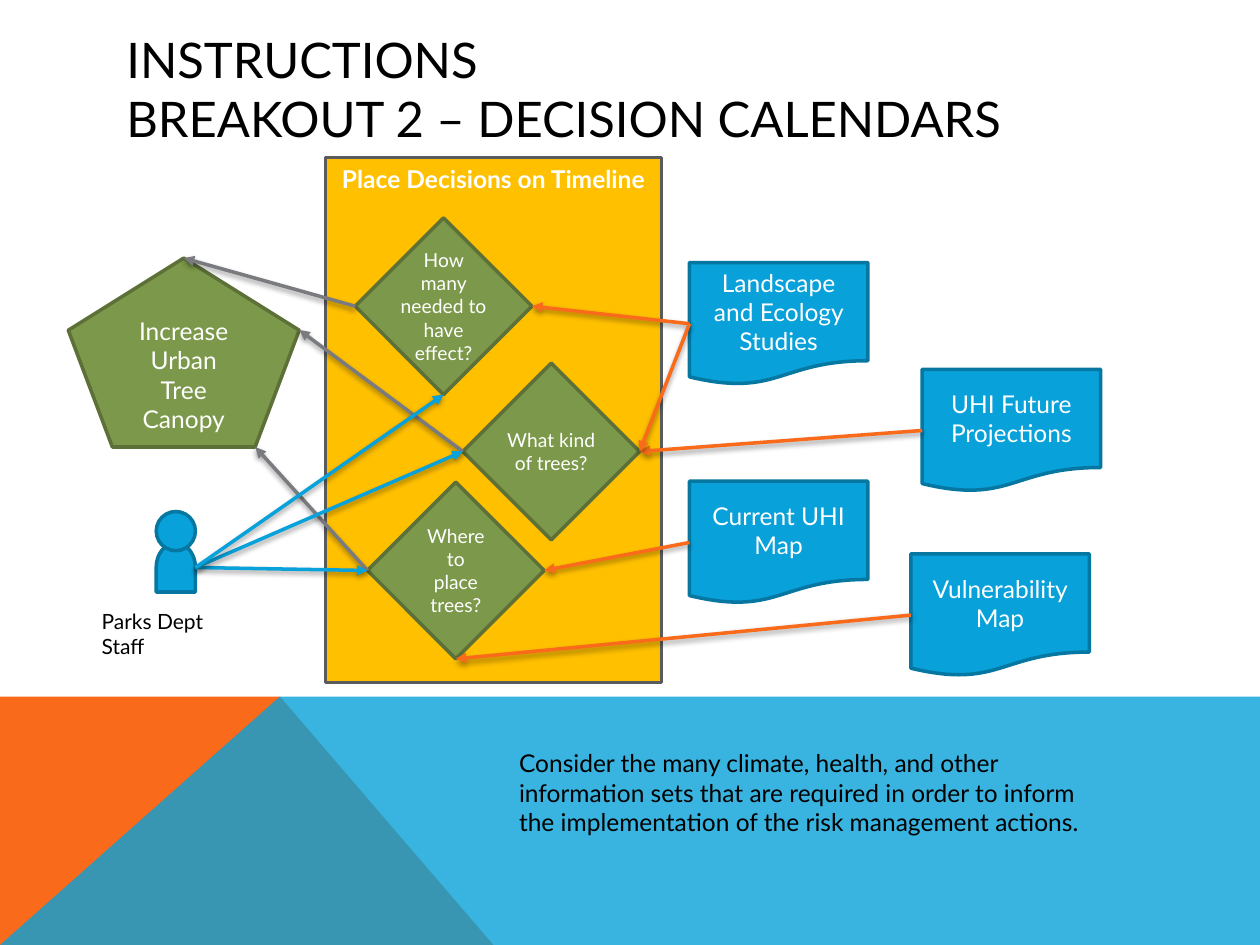
import lxml.etree
import pptx
import pptx.dml.color
import pptx.enum.shapes
import pptx.enum.text
import pptx.oxml.ns
import pptx.util

Pt = pptx.util.Pt
RGB = pptx.dml.color.RGBColor
SHAPE = pptx.enum.shapes.MSO_SHAPE
ALIGN = pptx.enum.text.PP_ALIGN
ANCHOR = pptx.enum.text.MSO_ANCHOR

FONT = "Lato"
BLACK = RGB(0x00, 0x00, 0x00)
WHITE = RGB(0xFF, 0xFF, 0xFF)
BLUE = RGB(0x08, 0xA1, 0xD9)
DARK_BLUE = RGB(0x06, 0x77, 0xA1)
GREEN = RGB(0x7C, 0x98, 0x4A)
DARK_GREEN = RGB(0x5C, 0x70, 0x37)
ORANGE = RGB(0xF9, 0x6A, 0x1B)
GOLD = RGB(0xFF, 0xC0, 0x00)
GRAY = RGB(0x79, 0x7B, 0x7E)
DARK_GRAY = RGB(0x5A, 0x5B, 0x5D)

TOP, LEFT, BOTTOM, RIGHT = range(4)


def add_xml(parent, tag, **attrs):
    """Append a DrawingML element and return it."""
    return lxml.etree.SubElement(parent, pptx.oxml.ns.qn(tag), attrs)


def write_text(sp, text, size=14, color=WHITE, bold=False, align=ALIGN.CENTER,
               anchor=ANCHOR.MIDDLE, inset=None):
    """Write one formatted, wrapped paragraph into a shape."""
    tf = sp.text_frame
    tf.word_wrap = True
    tf.auto_size = pptx.enum.text.MSO_AUTO_SIZE.NONE
    tf.vertical_anchor = anchor
    if inset is not None:
        tf.margin_left = tf.margin_right = tf.margin_top = tf.margin_bottom = Pt(inset)
    p = tf.paragraphs[0]
    p.text = text
    p.alignment = align
    for r in p.runs:
        r.font.name, r.font.size, r.font.bold = FONT, Pt(size), bold
        r.font.color.rgb = color


def paint(sp, fill, line=None):
    """Give a shape a flat fill and an optional outline."""
    sp.shadow.inherit = False
    sp.fill.solid()
    sp.fill.fore_color.rgb = fill
    if line is None:
        sp.line.fill.background()
    else:
        sp.line.color.rgb = line
        sp.line.width = Pt(2)


def add_box(shapes, kind, box, fill, line):
    """Add a painted preset shape in a box of points."""
    sp = shapes.add_shape(kind, *map(Pt, box))
    paint(sp, fill, line)
    return sp


def add_note(s, box, text, size):
    """Add a plain black text box."""
    sp = s.shapes.add_textbox(*map(Pt, box))
    write_text(sp, text, size=size, color=BLACK, align=ALIGN.LEFT, anchor=ANCHOR.TOP)


def add_arrow(s, start, end, color):
    """Draw a shadowed arrow between points or (shape, side) pairs."""
    is_point = [isinstance(e[0], (int, float)) for e in (start, end)]
    ends = [e if point else (0, 0) for e, point in zip((start, end), is_point)]
    cxn = s.shapes.add_connector(
        pptx.enum.shapes.MSO_CONNECTOR.STRAIGHT, *[Pt(v) for e in ends for v in e])
    if not is_point[0]:
        cxn.begin_connect(*start)
    if not is_point[1]:
        cxn.end_connect(*end)
    cxn.line.color.rgb = color
    cxn.line.width = Pt(2)
    add_xml(cxn.line._get_or_add_ln(), "a:tailEnd", type="triangle")
    effects = add_xml(cxn._element.spPr, "a:effectLst")
    shadow = add_xml(effects, "a:outerShdw", blurRad=str(Pt(3.1)), dist=str(Pt(1.6)),
                     dir="5400000", rotWithShape="0")
    add_xml(add_xml(shadow, "a:srgbClr", val=str(BLACK)), "a:alpha", val="38000")


def add_title(s, box, text):
    """Move and format the title placeholder."""
    sp = s.shapes.title
    sp.left, sp.top, sp.width, sp.height = map(Pt, box)
    write_text(sp, text, size=28, color=BLACK, align=ALIGN.LEFT)


def add_backdrop(s, box):
    """Draw the orange triangle and translucent blue band."""
    x, y, w, h = box
    peak, foot = (x + 160.5, y), (x + 281.5, y + h)
    corner = (x, y + h)
    outlines = [
        (ORANGE, [corner, (x, y), peak, foot]),
        (BLUE, [corner, peak, (x + w, y), (x + w, y + h)]),
    ]
    for color, points in outlines:
        fb = s.shapes.build_freeform(*points[0], scale=Pt(1))
        fb.add_line_segments(points[1:])
        sp = fb.convert_to_shape()
        paint(sp, color)
    add_xml(sp.fill._xPr.find(".//" + pptx.oxml.ns.qn("a:srgbClr")), "a:alpha", val="80000")


def add_timeline(s, box):
    """Add the timeline panel and return its decision diamonds."""
    x, y, w, h = box
    panel = add_box(s.shapes, SHAPE.RECTANGLE, box, GOLD, DARK_GRAY)
    write_text(panel, "Place Decisions on Timeline", bold=True, anchor=ANCHOR.TOP)
    size = 101
    decisions = [
        (17, 34.5, "How many needed to have effect?", 0),
        (24, 185.5, "Where to place trees?", None),
        (78.5, 117.5, "What kind of trees?", 0),
    ]
    diamonds = []
    for dx, dy, text, inset in decisions:
        sp = add_box(s.shapes, SHAPE.DIAMOND, (x + dx, y + dy, size, size), GREEN, DARK_GREEN)
        write_text(sp, text, size=11, inset=inset)
        diamonds.append(sp)
    return diamonds


def add_goal(s, box):
    """Add the goal pentagon; return it with its right and lower right corners."""
    x, y, w, h = box
    sp = add_box(s.shapes, SHAPE.REGULAR_PENTAGON, box, GREEN, DARK_GREEN)
    write_text(sp, "Increase Urban Tree Canopy")
    return sp, (x + w, y + 0.38 * h), (x + 0.81 * w, y + h)


def add_documents(s, box):
    """Add the information sources and return their shapes."""
    x, y = box[:2]
    sources = [
        (0, 0, "Landscape and Ecology Studies"),
        (133, 61, "UHI Future Projections"),
        (0, 125, "Current UHI Map"),
        (126.5, 166.5, "Vulnerability Map"),
    ]
    documents = []
    for dx, dy, text in sources:
        sp = add_box(s.shapes, SHAPE.FLOWCHART_DOCUMENT, (x + dx, y + dy, 102, 70),
                     BLUE, DARK_BLUE)
        write_text(sp, text)
        documents.append(sp)
    return documents


def add_person(s, box):
    """Draw a labelled staff figure and return the middle of its right side."""
    x, y, w, h = box
    length = 28
    middle = y + h - length / 2
    shapes = s.shapes.add_group_shape().shapes
    body = add_box(shapes, SHAPE.FLOWCHART_DELAY,
                   (x + (w - length) / 2, middle - w / 2, length, w), BLUE, DARK_BLUE)
    body.rotation = 270
    add_box(shapes, SHAPE.OVAL, (x, y, w, w), BLUE, DARK_BLUE)
    add_note(s, (x - 38.3, y + 51.7, 98.5, 21.6), "Parks Dept Staff", 12)
    return x + w, middle


def main():
    """Build and save the slide."""
    prs = pptx.Presentation()
    prs.slide_width, prs.slide_height = Pt(720), Pt(540)
    s = prs.slides.add_slide(prs.slide_layouts[5])
    add_backdrop(s, (0, 397.5, 720, 142.5))
    add_title(s, (65, 29, 592, 43), "INSTRUCTIONS\nBREAKOUT 2 – DECISION CALENDARS")
    amount, place, kind = add_timeline(s, (186, 90, 192, 300))
    goal, goal_right, goal_foot = add_goal(s, (39, 147.5, 132, 108))
    ecology, projections, current, vulnerability = add_documents(s, (394, 150, 235, 236.5))
    staff = add_person(s, (89.3, 292.3, 22.4, 46))
    arrows = [
        ((place, LEFT), goal_foot, GRAY),
        ((kind, LEFT), goal_right, GRAY),
        ((amount, LEFT), (goal, TOP), GRAY),
        ((projections, LEFT), (kind, RIGHT), ORANGE),
        ((ecology, LEFT), (amount, RIGHT), ORANGE),
        ((ecology, LEFT), (kind, RIGHT), ORANGE),
        ((current, LEFT), (place, RIGHT), ORANGE),
        ((vulnerability, LEFT), (place, BOTTOM), ORANGE),
        (staff, (place, LEFT), BLUE),
        (staff, (kind, LEFT), BLUE),
        (staff, (amount, BOTTOM), BLUE),
    ]
    for start, end, color in arrows:
        add_arrow(s, start, end, color)
    add_note(s, (289.5, 424, 342.5, 58.5),
             "Consider the many climate, health, and other information sets that are required "
             "in order to inform the implementation of the risk management actions.", 14)
    prs.save("out.pptx")


if __name__ == "__main__":
    main()
